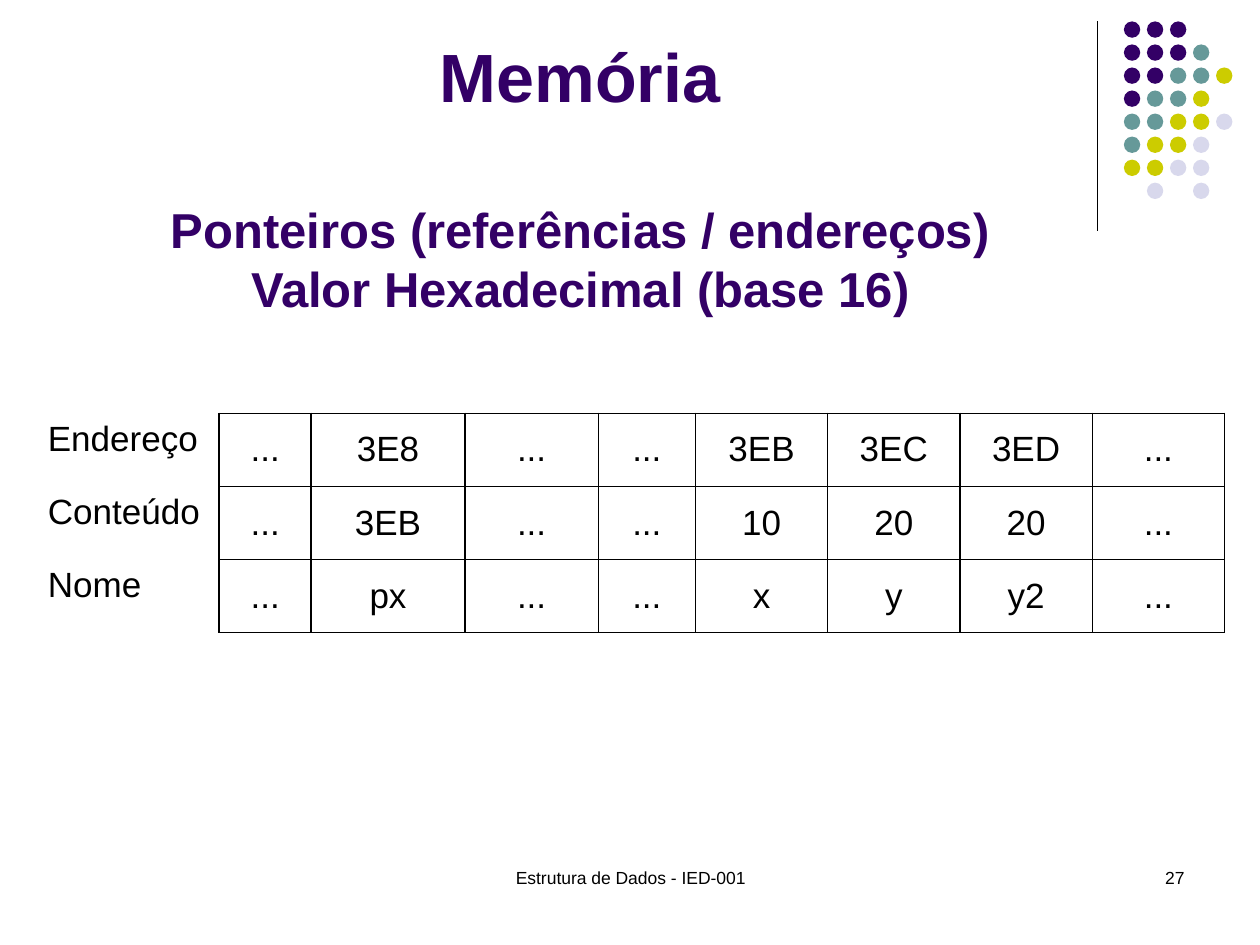
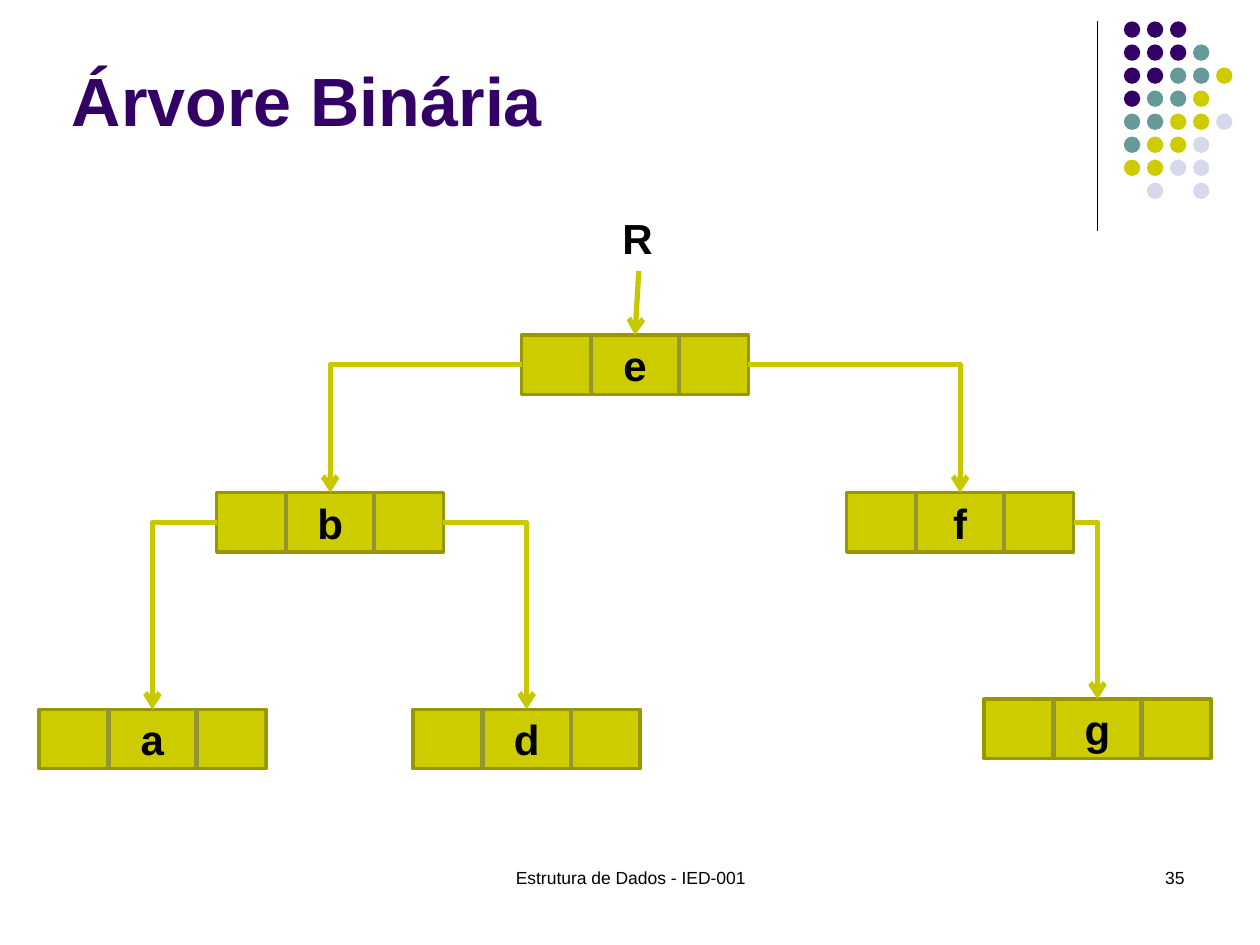
import lxml.etree
import pptx
import pptx.dml.color
import pptx.enum.shapes
import pptx.enum.text
import pptx.oxml
import pptx.oxml.ns
import pptx.util

Inches = pptx.util.Inches
Pt = pptx.util.Pt
ALIGN = pptx.enum.text.PP_ALIGN
ANCHOR = pptx.enum.text.MSO_ANCHOR
AUTO_SIZE = pptx.enum.text.MSO_AUTO_SIZE
SHAPE = pptx.enum.shapes.MSO_SHAPE
CONNECTOR = pptx.enum.shapes.MSO_CONNECTOR
qn = pptx.oxml.ns.qn

FONT = "Arial"
BLACK = "000000"
PURPLE = "330066"
TEAL = "669999"
OLIVE = "CCCC00"
LAVENDER = "D8D8EC"
NODE_EDGE = "979700"
NODE_DIVIDER = "949432"
ARROW = "C8C800"
FOOTER = "Estrutura de Dados - IED-001"

DOT_ROWS = ["PPP", "PPPT", "PPTTO", "PTTO", "TTOOL", "TOOL", "OOLL", " L L"]
DOT_COLORS = {"P": PURPLE, "T": TEAL, "O": OLIVE, "L": LAVENDER}
DOT_SIZE = 0.13
DOT_PITCH = 1.28 / 7

MEMORY_COLUMNS = [1.46, 0.73, 1.22, 1.06, 0.77] + [1.05] * 4
MEMORY_ROW_HEIGHT = 0.58
MEMORY_ROWS = [
    ["Endereço", "...", "3E8", "...", "...", "3EB", "3EC", "3ED", "..."],
    ["Conteúdo", "...", "3EB", "...", "...", "10", "20", "20", "..."],
    ["Nome", "...", "px", "...", "...", "x", "y", "y2", "..."],
]

NODE_WIDTH = 1.8
NODE_HEIGHT = 0.47
NODE_DIVIDERS = [0.55, 1.25]
TREE_NODES = {
    "e": (4.14, 2.66),
    "b": (1.72, 3.91),
    "f": (6.72, 3.91),
    "d": (3.28, 5.63),
    "a": (0.31, 5.63),
    "g": (7.81, 5.55),
}
TOP, LEFT, RIGHT = 0, 1, 3
TREE_EDGES = [
    ("e", LEFT, "b"),
    ("e", RIGHT, "f"),
    ("f", RIGHT, "g"),
    ("b", RIGHT, "d"),
    ("b", LEFT, "a"),
]


def color(value):
    return pptx.dml.color.RGBColor.from_string(value)


def add_span(para, text, size, fill=BLACK, bold=False):
    span = para.add_run()
    span.text = text
    span.font.name = FONT
    span.font.size = Pt(size)
    span.font.bold = bold
    span.font.color.rgb = color(fill)


def add_text(slide, text, left, top, width, height, size, align, bold=False, wrap=True):
    box = slide.shapes.add_textbox(Inches(left), Inches(top), Inches(width), Inches(height))
    frame = box.text_frame
    frame.word_wrap = wrap
    if not wrap:
        frame.auto_size = AUTO_SIZE.SHAPE_TO_FIT_TEXT
    para = frame.paragraphs[0]
    para.alignment = align
    add_span(para, text, size, bold=bold)


def add_shape(slide, kind, left, top, width, height, fill):
    shape = slide.shapes.add_shape(kind, Inches(left), Inches(top), Inches(width), Inches(height))
    shape.shadow.inherit = False
    shape.fill.solid()
    shape.fill.fore_color.rgb = color(fill)
    shape.line.fill.background()
    return shape


def add_line(slide, start, end, stroke, width, kind=CONNECTOR.STRAIGHT, arrow=False):
    line = slide.shapes.add_connector(kind, *(Inches(value) for value in (*start, *end)))
    line.line.color.rgb = color(stroke)
    line.line.width = Pt(width)
    properties = line._element.spPr
    lxml.etree.SubElement(properties, qn("a:effectLst"))
    if arrow:
        lxml.etree.SubElement(properties.find(qn("a:ln")), qn("a:tailEnd"), type="arrow")
    return line


def add_dots(slide):
    for row, pattern in enumerate(DOT_ROWS):
        for column, key in enumerate(pattern):
            if key in DOT_COLORS:
                add_shape(
                    slide, SHAPE.OVAL,
                    8.92 + column * DOT_PITCH, 0.17 + row * DOT_PITCH,
                    DOT_SIZE, DOT_SIZE, DOT_COLORS[key],
                )


def add_base_slide(deck, number):
    slide = deck.slides.add_slide(deck.slide_layouts[5])
    add_line(slide, (8.71, 0.17), (8.71, 1.83), BLACK, 0.75)
    add_dots(slide)
    add_text(slide, number, 7.17, 6.83, 2.33, 0.5, 10, ALIGN.RIGHT)
    add_text(slide, FOOTER, 3.42, 6.83, 3.17, 0.5, 10, ALIGN.CENTER)
    return slide


def set_title(slide, text, left, top, width, height, align):
    title = slide.shapes.title
    title.left, title.top = Inches(left), Inches(top)
    title.width, title.height = Inches(width), Inches(height)
    frame = title.text_frame
    frame.word_wrap = True
    frame.auto_size = AUTO_SIZE.NONE
    frame.vertical_anchor = ANCHOR.BOTTOM
    para = frame.paragraphs[0]
    para.alignment = align
    add_span(para, text, 39, PURPLE, True)
    return frame


def add_subtitle(frame, lines):
    frame.paragraphs[0].space_after = Pt(48)
    para = frame.add_paragraph()
    para.alignment = ALIGN.CENTER
    para.space_before = Pt(0)
    for index, text in enumerate(lines):
        if index:
            para.add_line_break()
        add_span(para, text, 28, PURPLE, True)


def set_borders(cell, sides):
    properties = cell._tc.get_or_add_tcPr()
    for side in sides:
        border = lxml.etree.SubElement(properties, qn(f"a:ln{side}"), w=str(Pt(1)))
        fill = lxml.etree.SubElement(border, qn("a:solidFill"))
        lxml.etree.SubElement(fill, qn("a:srgbClr"), val=BLACK)


def add_memory_table(slide):
    table = slide.shapes.add_table(
        len(MEMORY_ROWS), len(MEMORY_COLUMNS), Inches(0.28), Inches(3.28),
        Inches(sum(MEMORY_COLUMNS)), Inches(MEMORY_ROW_HEIGHT * len(MEMORY_ROWS)),
    ).table
    table.first_row = False
    table.horz_banding = False
    for column, width in zip(table.columns, MEMORY_COLUMNS):
        column.width = Inches(width)
    for row, values in enumerate(MEMORY_ROWS):
        table.rows[row].height = Inches(MEMORY_ROW_HEIGHT)
        for column, text in enumerate(values):
            cell = table.cell(row, column)
            is_label = column == 0
            set_borders(cell, "R" if is_label else "LRTB")
            cell.fill.background()
            cell.vertical_anchor = ANCHOR.TOP if is_label else ANCHOR.MIDDLE
            para = cell.text_frame.paragraphs[0]
            para.alignment = ALIGN.LEFT if is_label else ALIGN.CENTER
            add_span(para, text, 20)


def add_node(slide, label, left, top):
    node = add_shape(slide, SHAPE.RECTANGLE, left, top, NODE_WIDTH, NODE_HEIGHT, OLIVE)
    node.line.color.rgb = color(NODE_EDGE)
    node.line.width = Pt(2)
    node.text_frame.vertical_anchor = ANCHOR.MIDDLE
    para = node.text_frame.paragraphs[0]
    para.alignment = ALIGN.CENTER
    add_span(para, label, 24, bold=True)
    for offset in NODE_DIVIDERS:
        x = left + offset
        add_line(slide, (x, top), (x, top + NODE_HEIGHT), NODE_DIVIDER, 2.5)
    return node


def add_edge(slide, parent, side, child):
    edge = add_line(slide, (0, 0), (1, 1), ARROW, 3, CONNECTOR.ELBOW, True)
    edge.begin_connect(parent, side)
    edge.end_connect(child, TOP)
    edge._element.spPr.find(qn("a:prstGeom")).set("prst", "bentConnector2")


def add_tree(slide):
    nodes = {label: add_node(slide, label, *place) for label, place in TREE_NODES.items()}
    add_text(slide, "R", 4.84, 1.64, 0.45, 0.5, 24, ALIGN.LEFT, bold=True, wrap=False)
    root_arrow = add_line(slide, (5.07, 2.15), (5.04, 2.66), ARROW, 3, arrow=True)
    root_arrow.end_connect(nodes["e"], TOP)
    for parent, side, child in TREE_EDGES:
        add_edge(slide, nodes[parent], side, nodes[child])


def main():
    deck = pptx.Presentation()
    deck.slide_width = Inches(10)
    deck.slide_height = Inches(7.5)

    memory = add_base_slide(deck, "27")
    frame = set_title(memory, "Memória", 1.06, 0.29, 7.09, 2.28, ALIGN.CENTER)
    add_subtitle(frame, ["Ponteiros (referências / endereços)", "Valor Hexadecimal (base 16)"])
    add_memory_table(memory)

    tree = add_base_slide(deck, "35")
    set_title(tree, "Árvore Binária", 0.47, 0.31, 8.25, 0.85, ALIGN.LEFT)
    add_tree(tree)

    deck.save("out.pptx")


if __name__ == "__main__":
    main()
